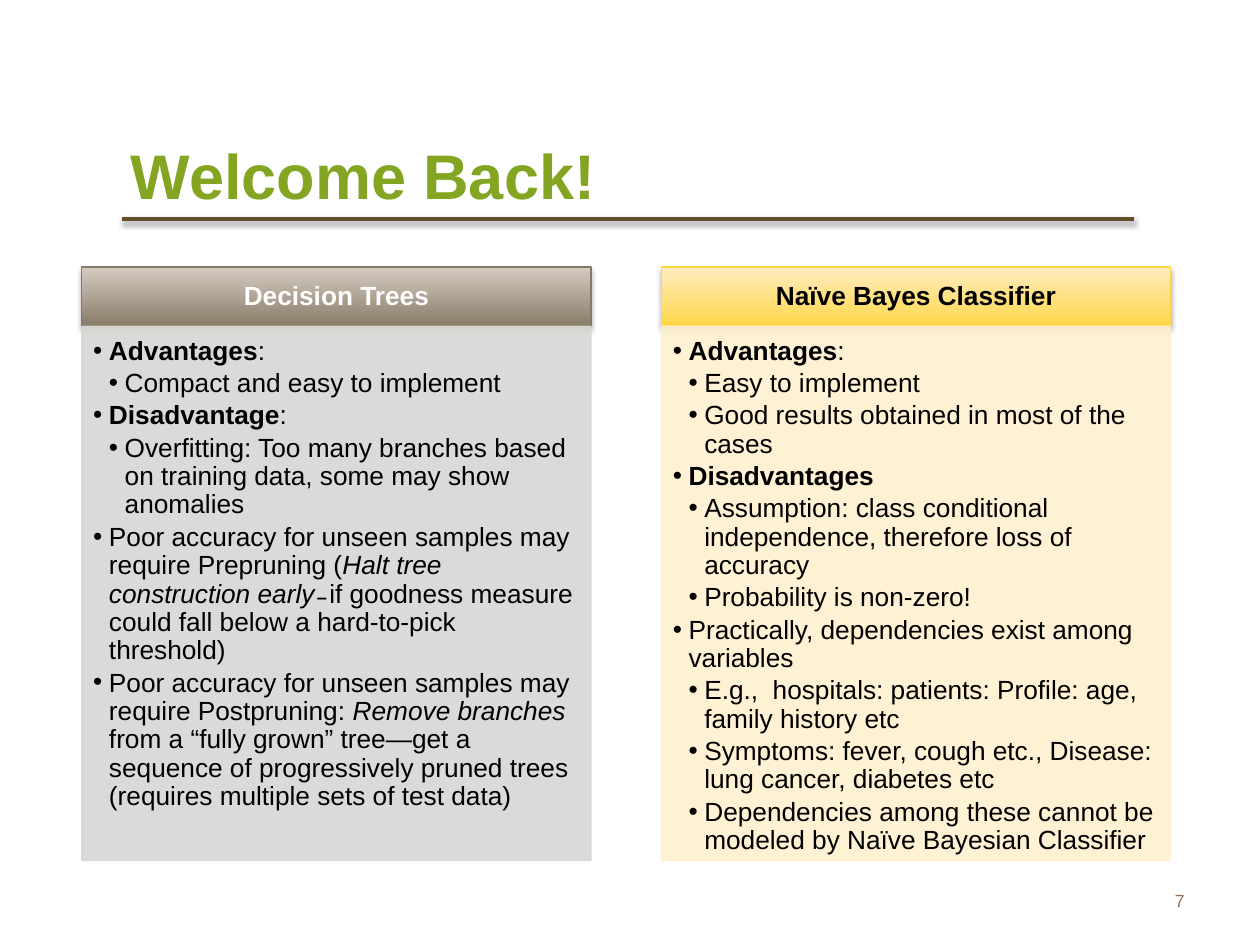
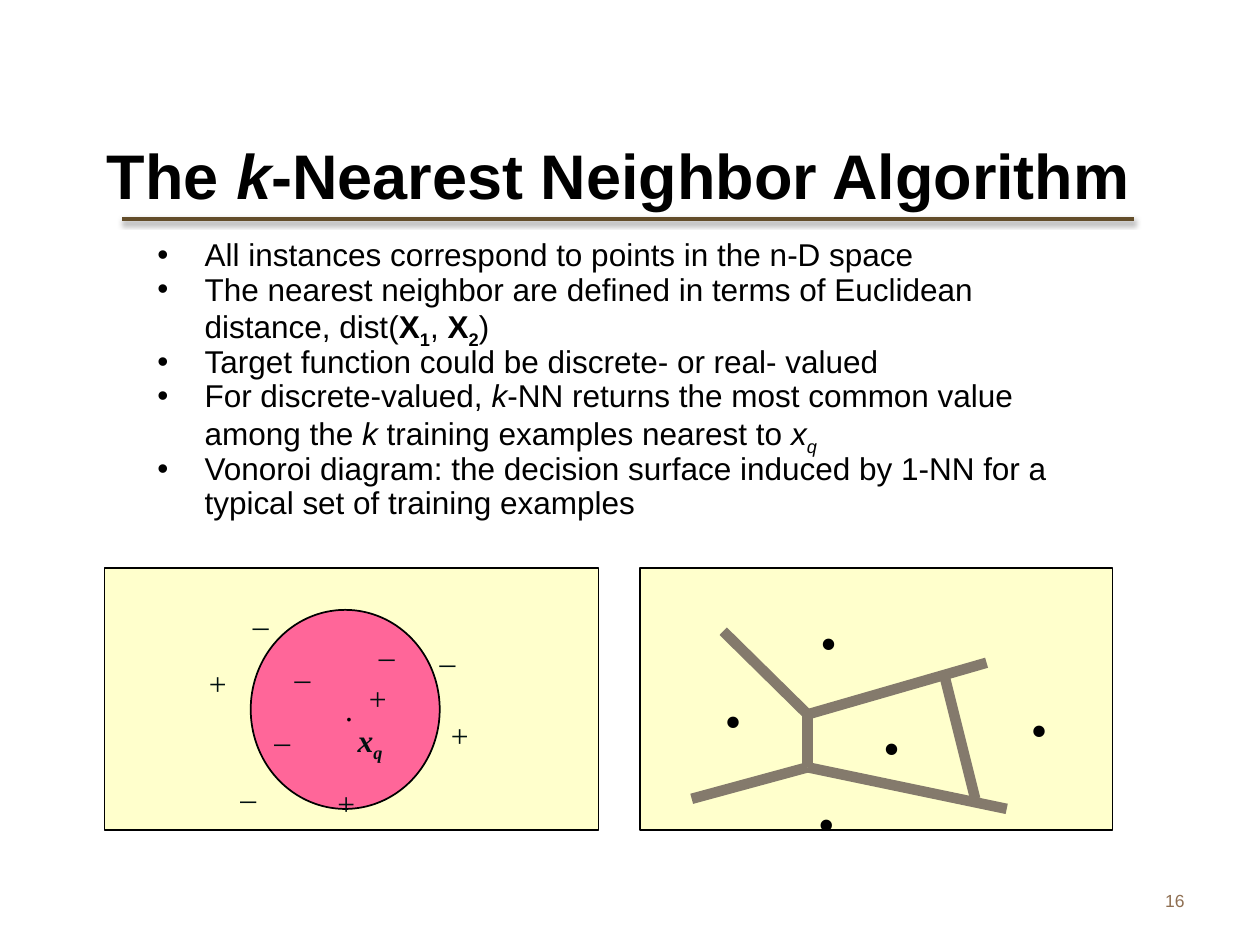
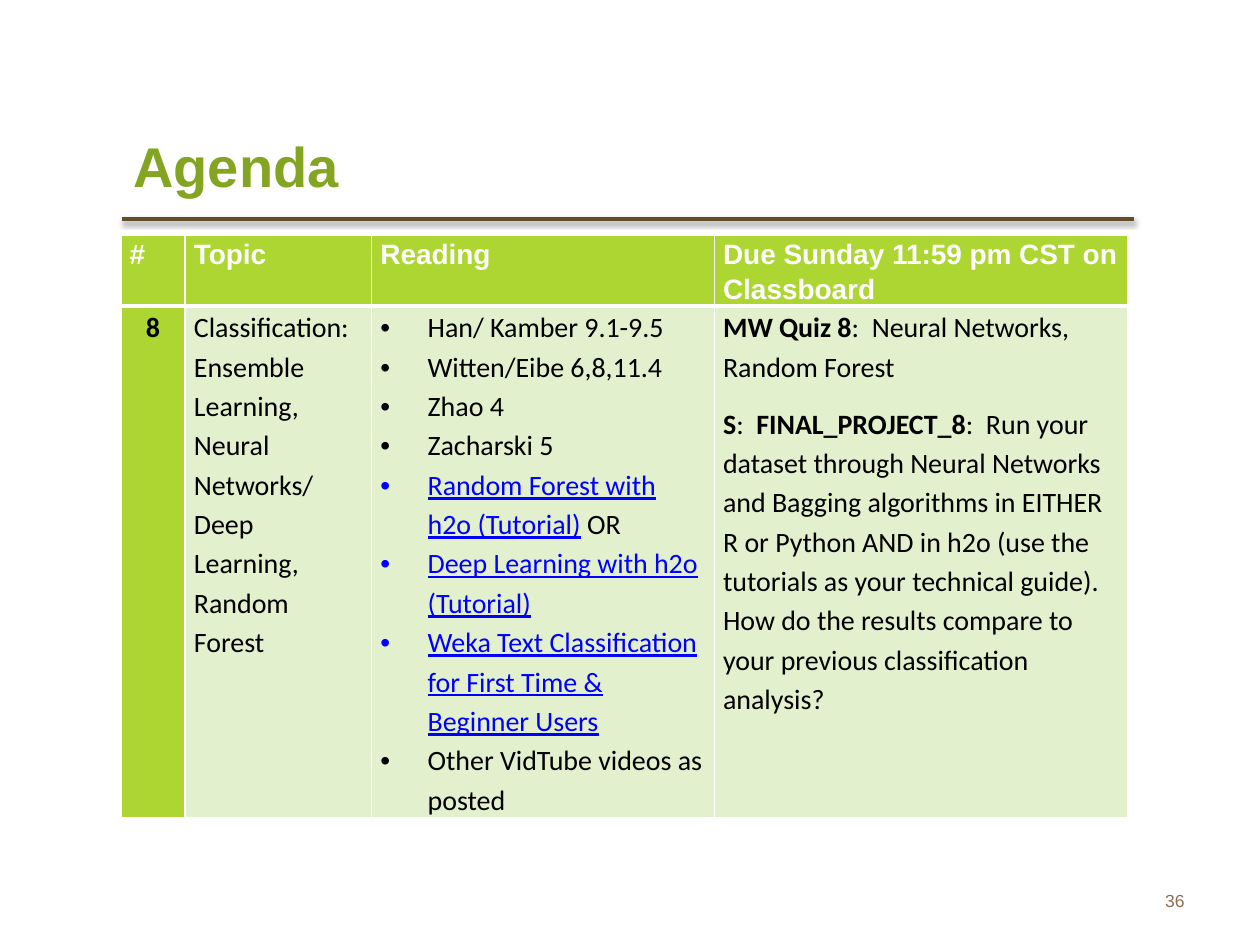
from pptx import Presentation
from pptx import util as u
from pptx.dml.color import RGBColor
from pptx.enum import shapes, text
from pptx.oxml import parse_xml
from pptx.oxml.ns import nsdecls
from pptx.oxml.xmlchemy import OxmlElement

COLORS = {
    "title": "84A521", "rule": "634D2A", "number": "8F6F52",
    "black": "000000", "white": "FFFFFF", "sign": "001010",
    "taupe": "847A6C", "taupe_dark": "887B68", "taupe_light": "D5CCC0", "taupe_pale": "D9D7D4",
    "gold": "FFD747", "gold_light": "FFECC1", "gold_pale": "FFF0CF",
    "cream": "FFFFCC", "pink": "FF6699",
    "lime": "ADD632", "lime_pale": "E3F0CE", "link": "0000FF",
}
RGB = {name: RGBColor.from_string(value) for name, value in COLORS.items()}
CENTER, RIGHT = text.PP_ALIGN.CENTER, text.PP_ALIGN.RIGHT
MIDDLE = text.MSO_ANCHOR.MIDDLE


def write(frame, paragraphs, size, color="black", font="Arial", align=None,
          spacing=None, after=0, hang=0):
    """Fill a frame; a paragraph is (bullet level, run, ...), a run is text or (text, style).

    Style letters: b bold, i italic, s subscript, l link look.
    """
    for index, (level, *runs) in enumerate(paragraphs):
        paragraph = frame.add_paragraph() if index else frame.paragraphs[0]
        if level:
            properties = paragraph._p.get_or_add_pPr()
            properties.set("marL", str(u.Inches(level * hang)))
            properties.set("indent", str(-u.Inches(hang)))
            for tag, key, value in [("a:buFont", "typeface", "Arial"), ("a:buChar", "char", "•")]:
                bullet = OxmlElement(tag)
                bullet.set(key, value)
                properties.append(bullet)
        paragraph.alignment = align
        paragraph.line_spacing = spacing
        paragraph.space_after = u.Pt(after)
        for item in runs:
            words, style = (item, "") if isinstance(item, str) else item
            run = paragraph.add_run()
            run.text = words
            run.font.name = font
            run.font.size = u.Pt(size)
            run.font.bold = "b" in style
            run.font.italic = "i" in style
            run.font.underline = "l" in style
            run.font.color.rgb = RGB["link" if "l" in style else color]
            if "s" in style:
                run.font._element.set("baseline", "-25000")


def drop_shadow(shape, opacity, distance):
    shape._element.spPr.append(parse_xml(
        f'<a:effectLst {nsdecls("a")}><a:outerShdw blurRad="{u.Pt(3.1)}" dist="{u.Pt(distance)}" '
        f'dir="5400000" rotWithShape="0"><a:srgbClr val="{COLORS["black"]}">'
        f'<a:alpha val="{opacity * 1000}"/></a:srgbClr></a:outerShdw></a:effectLst>'))


deck = Presentation()
deck.slide_width, deck.slide_height = u.Inches(10), u.Inches(7.5)

# Title, rule and number on every slide
headings = [
    ("7", [("Welcome Back!", "b")], 36, "title", (0.94, 0.99, 8.56, 0.78)),
    ("16", [("The ", "b"), ("k", "bi"), ("-Nearest Neighbor Algorithm", "b")], 36, "black",
     (0.75, 0.91, 9.06, 0.94)),
    ("36", [("Agenda", "b")], 32, "title", (0.96, 0.86, 5.77, 0.9)),
]
slides = []
for number, title, size, color, place in headings:
    slide = deck.slides.add_slide(deck.slide_layouts[6])
    slides.append(slide)
    rule = slide.shapes.add_connector(shapes.MSO_CONNECTOR.STRAIGHT, u.Inches(0.97),
                                      u.Inches(1.74), u.Inches(9), u.Inches(1.74))
    rule.line.color.rgb = RGB["rule"]
    rule.line.width = u.Pt(2)
    drop_shadow(rule, 38, 1.6)
    for runs, points, ink, align, box in [
            ([number], 10, "number", RIGHT, (7.17, 6.95, 2.33, 0.4)),
            (title, size, color, None, place)]:
        frame = slide.shapes.add_textbox(*map(u.Inches, box)).text_frame
        frame.word_wrap = True
        frame.vertical_anchor = MIDDLE
        write(frame, [(0, *runs)], points, ink, align=align)
welcome, neighbors, agenda = slides

# Welcome: two classifiers side by side
classifiers = [
    ("Decision Trees", "white", "taupe", "taupe_dark", "taupe_light", "taupe_pale", [
        (1, ("Advantages", "b"), ":"),
        (2, "Compact and easy to implement"),
        (1, ("Disadvantage", "b"), ":"),
        (2, "Overfitting: Too many branches based on training data, some may show anomalies"),
        (1, "Poor accuracy for unseen samples may require Prepruning (",
         ("Halt tree construction early ", "i"),
         "̵ if goodness measure could fall below a hard-to-pick threshold)"),
        (1, "Poor accuracy for unseen samples may require Postpruning: ",
         ("Remove branches", "i"),
         " from a “fully grown” tree—get a sequence of progressively pruned trees "
         "(requires multiple sets of test data)"),
    ]),
    ("Naïve Bayes Classifier", "black", "gold", "gold", "gold_light", "gold_pale", [
        (1, ("Advantages", "b"), ":"),
        (2, "Easy to implement"),
        (2, "Good results obtained in most of the cases"),
        (1, ("Disadvantages", "b")),
        (2, "Assumption: class conditional independence, therefore loss of accuracy"),
        (2, "Probability is non-zero!"),
        (1, "Practically, dependencies exist among variables"),
        (2, "E.g.,  hospitals: patients: Profile: age, family history etc"),
        (2, "Symptoms: fever, cough etc., Disease: lung cancer, diabetes etc"),
        (2, "Dependencies among these cannot be modeled by Naïve Bayesian Classifier"),
    ]),
]
for column, (name, ink, edge, bottom, top, pale, points) in enumerate(classifiers):
    left = u.Inches(0.65 + 4.6 * column)
    header = welcome.shapes.add_shape(shapes.MSO_SHAPE.RECTANGLE, left, u.Inches(2.12),
                                      u.Inches(4.04), u.Inches(0.47))
    header.fill.gradient()
    header.fill.gradient_angle = 90
    for stop, shade in zip(header.fill.gradient_stops, (bottom, top)):
        stop.color.rgb = RGB[shade]
    header.line.color.rgb = RGB[edge]
    header.line.width = u.Pt(0.75)
    drop_shadow(header, 35, 1.8)
    header.text_frame.vertical_anchor = MIDDLE
    write(header.text_frame, [(0, (name, "b"))], 15, ink, align=CENTER, spacing=0.9)

    panel = welcome.shapes.add_shape(shapes.MSO_SHAPE.RECTANGLE, left, u.Inches(2.59),
                                     u.Inches(4.04), u.Inches(4.24))
    panel.shadow.inherit = False
    panel.fill.solid()
    panel.fill.fore_color.rgb = RGB[pale]
    panel.line.color.rgb = RGB[pale]
    panel.line.width = u.Pt(0.75)
    for shade in panel._element.spPr.iter("{*}srgbClr"):
        alpha = OxmlElement("a:alpha")
        alpha.set("val", "90000")
        shade.append(alpha)
    frame = panel.text_frame
    frame.vertical_anchor = text.MSO_ANCHOR.TOP
    frame.margin_left = frame.margin_top = u.Inches(0.09)
    frame.margin_right, frame.margin_bottom = u.Inches(0.12), u.Inches(0.13)
    write(frame, points, 15, align=text.PP_ALIGN.LEFT, spacing=0.9, after=2.25, hang=0.125)

# Nearest neighbors: statements above two diagrams
frame = neighbors.shapes.add_textbox(*map(u.Inches, (1.15, 1.69, 7.62, 2.66))).text_frame
frame.word_wrap = True
frame.vertical_anchor = MIDDLE
write(frame, [
    (1, "All instances correspond to points in the n-D space"),
    (1, "The nearest neighbor are defined in terms of Euclidean distance, dist(",
     ("X", "b"), ("1", "bs"), ", ", ("X", "b"), ("2", "bs"), ")"),
    (1, "Target function could be discrete- or real- valued"),
    (1, "For discrete-valued, ", ("k", "i"), "-NN returns the most common value among the ",
     ("k", "i"), " training examples nearest to ", ("x", "i"), ("q", "is")),
    (1, "Vonoroi diagram: the decision surface induced by 1-NN for a typical set of "
        "training examples"),
], 18, spacing=0.9, hang=0.375)

for outline, fill, box in [
        (shapes.MSO_SHAPE.RECTANGLE, "cream", (0.83, 4.51, 3.92, 2.08)),
        (shapes.MSO_SHAPE.RECTANGLE, "cream", (5.08, 4.51, 3.75, 2.08)),
        (shapes.MSO_SHAPE.OVAL, "pink", (1.99, 4.84, 1.5, 1.58))]:
    region = neighbors.shapes.add_shape(outline, *map(u.Inches, box))
    region.shadow.inherit = False
    region.fill.solid()
    region.fill.fore_color.rgb = RGB[fill]
    region.line.color.rgb = RGB["black"]
    region.line.width = u.Pt(1)
query_point = region.text_frame
query_point.word_wrap = False
query_point.vertical_anchor = MIDDLE
query_point.margin_left = u.Inches(0.16)
write(query_point, [(0, ".")], 18, font="Times New Roman", align=CENTER)

upper, lower = (6.41, 5.67), (6.41, 6.09)
edges = [((5.74, 5.01), upper), (upper, (7.83, 5.26)), (upper, lower),
         (lower, (7.99, 6.42)), (lower, (5.49, 6.34)), ((7.49, 5.34), (7.74, 6.34))]
for start, end in edges:
    edge = neighbors.shapes.add_connector(shapes.MSO_CONNECTOR.STRAIGHT,
                                          *map(u.Inches, start + end))
    edge.line.color.rgb = RGB["taupe"]
    edge.line.width = u.Pt(6)
    edge._element.spPr.append(OxmlElement("a:effectLst"))

minuses = [(2.24, 5.09), (2.08, 5.59), (2.91, 4.92), (3.39, 4.97), (1.81, 6.05), (1.91, 4.67)]
pluses = [(2.83, 5.34), (2.58, 6.17), (1.56, 5.22), (3.48, 5.63)]
examples = [(6.41, 4.55), (6.91, 5.38), (6.39, 5.99), (5.65, 5.17), (8.08, 5.24)]
marks = [
    (["_"], 18, "sign", 0.33, 0.4, minuses),
    (["+"], 18, "sign", 0.34, 0.4, pluses),
    ([("x", "bi"), ("q", "bis")], 18, "sign", 0.4, 0.4, [(2.74, 5.67)]),
    ([(".", "b")], 40, "black", 0.34, 0.77, examples),
]
for runs, size, ink, width, height, places in marks:
    for place in places:
        frame = neighbors.shapes.add_textbox(*map(u.Inches, (*place, width, height))).text_frame
        frame.word_wrap = False
        frame.auto_size = text.MSO_AUTO_SIZE.SHAPE_TO_FIT_TEXT
        write(frame, [(0, *runs)], size, ink, font="Times New Roman")

# Agenda: one week of the course plan
plan = agenda.shapes.add_table(2, 4, *map(u.Inches, (0.96, 1.87, 7.99, 4.6))).table
plan.horz_banding = False
for column, width in zip(plan.columns, (0.51, 1.48, 2.72, 3.28)):
    column.width = u.Inches(width)
for row, height in zip(plan.rows, (0.56, 4.06)):
    row.height = u.Inches(height)
topics = ["#", "Topic", "Reading", "Due Sunday 11:59 pm CST on Classboard"]
week = [
    [(0, ("8", "b"))],
    [(0, "Classification:  Ensemble Learning, Neural Networks/ Deep Learning, Random Forest")],
    [
        (1, "Han/ Kamber 9.1-9.5"),
        (1, "Witten/Eibe 6,8,11.4"),
        (1, "Zhao 4"),
        (1, "Zacharski 5"),
        (1, ("Random Forest with h2o (Tutorial)", "l"), " OR"),
        (1, ("Deep Learning with h2o (Tutorial)", "l")),
        (1, ("Weka Text Classification for First Time & Beginner Users", "l")),
        (1, "Other VidTube videos as posted"),
    ],
    [
        (0, ("MW Quiz 8", "b"), ":  Neural Networks, Random Forest"),
        (0, ("S", "b"), ":  ", ("FINAL_PROJECT_8", "b"),
         ":  Run your dataset through Neural Networks and Bagging algorithms in EITHER R or "
         "Python AND in h2o (use the tutorials as your technical guide).  How do the results "
         "compare to your previous classification analysis?"),
    ],
]
for column, (topic, entry) in enumerate(zip(topics, week)):
    for row in range(2):
        cell = plan.cell(row, column)
        cell.margin_left = cell.margin_right = u.Inches(0.07)
        cell.margin_top = cell.margin_bottom = 0
        for side in "LRTB":
            points = 3 if (row, side) in [(0, "B"), (1, "T")] else 1
            cell._tc.get_or_add_tcPr().append(parse_xml(
                f'<a:ln{side} {nsdecls("a")} w="{u.Pt(points)}"><a:solidFill>'
                f'<a:srgbClr val="{COLORS["white"]}"/></a:solidFill></a:ln{side}>'))
        cell.fill.solid()
        cell.fill.fore_color.rgb = RGB["lime" if row == 0 or column == 0 else "lime_pale"]
        if row == 0:
            write(cell.text_frame, [(0, (topic, "b"))], 16, "white", spacing=u.Pt(19.8))
        else:
            write(cell.text_frame, entry, 16, font="Calibri", spacing=1.15, hang=0.375,
                  align=CENTER if column == 0 else None, after=10 if column == 3 else 0)

deck.save("out.pptx")
